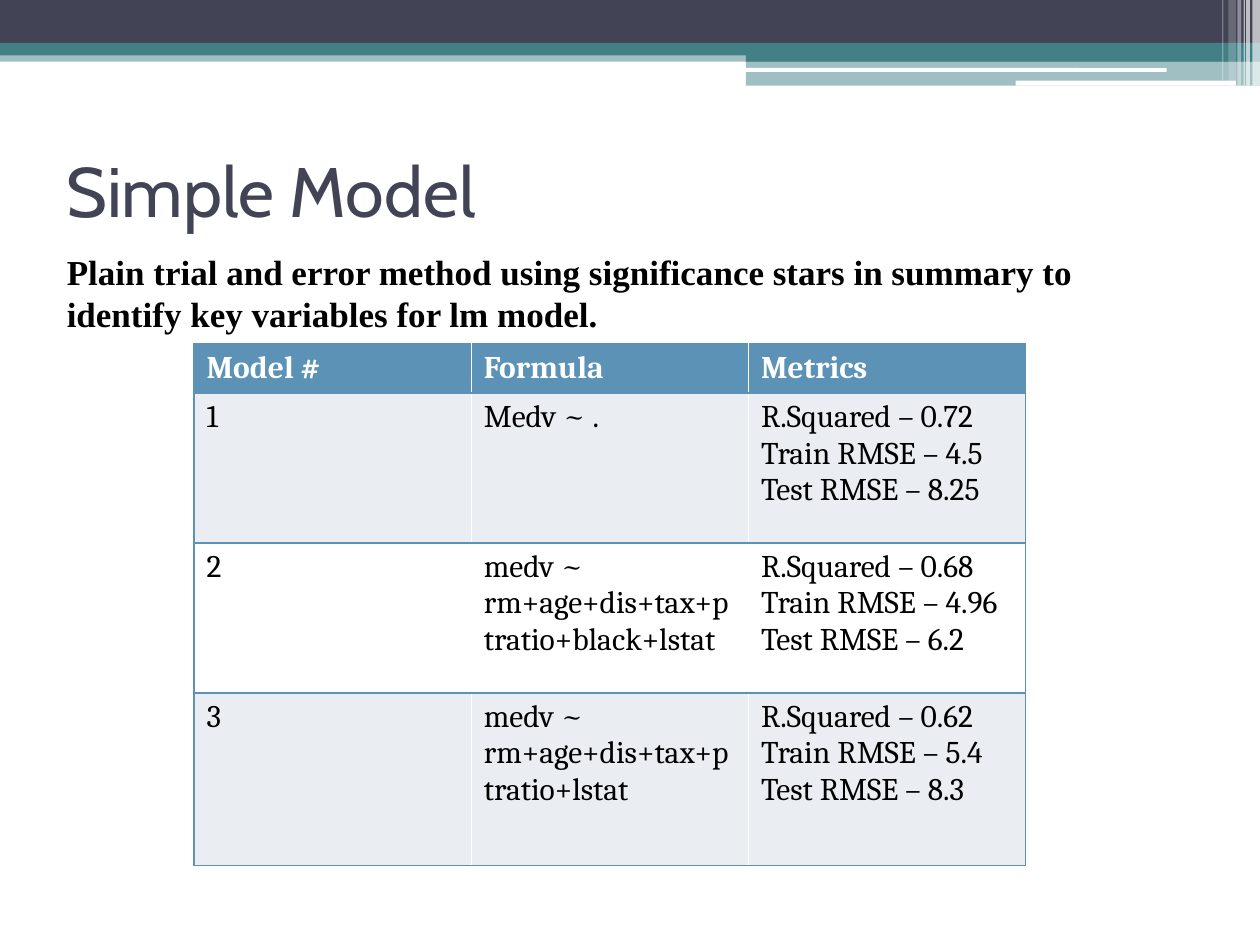
import dataclasses

import lxml.etree
import pptx
import pptx.dml.color
import pptx.enum.shapes
import pptx.enum.text
import pptx.oxml.ns
import pptx.util

Inches = pptx.util.Inches
qn = pptx.oxml.ns.qn

NAVY = "424456"
TEAL = "438086"
BLUE = "5C92B5"
PALE = "EAEEF3"
WHITE = "FFFFFF"
BLACK = "000000"


@dataclasses.dataclass(frozen=True)
class Band:
    left: float
    top: float
    width: float
    height: float
    color: str
    opacity: int = 100
    rounded: bool = False


@dataclasses.dataclass(frozen=True)
class Model:
    number: int
    formula: str
    r_squared: str
    train_rmse: str
    test_rmse: str

    def cells(self) -> list[str]:
        metrics = (f"R.Squared – {self.r_squared}\nTrain RMSE – {self.train_rmse}\n"
                   f"Test RMSE – {self.test_rmse}")
        return [str(self.number), self.formula, metrics]


BANDS = [
    Band(0, 0.4, 10, 0.09, TEAL, 50),
    Band(0, 0, 10, 0.34, NAVY),
    Band(0, 0.34, 10, 0.1, TEAL),
    Band(5.92, 0.39, 4.08, 0.1, TEAL),
    Band(5.92, 0.48, 4.08, 0.2, TEAL, 50),
    Band(5.91, 0.54, 3.35, 0.03, WHITE, rounded=True),
    Band(8.06, 0.64, 1.75, 0.04, WHITE, rounded=True),
    Band(9.94, 0, 0.06, 0.68, WHITE, 65),
    Band(9.89, 0, 0.03, 0.68, WHITE, 65),
    Band(9.87, 0, 0.01, 0.68, WHITE, 60),
    Band(9.82, 0, 0.03, 0.68, WHITE, 40),
    Band(9.75, 0, 0.06, 0.64, WHITE, 20),
    Band(9.7, 0, 0.01, 0.64, WHITE, 30),
]

HEADINGS = ["Model #", "Formula", "Metrics"]
MODELS = [
    Model(1, "Medv ~ .", "0.72", "4.5", "8.25"),
    Model(2, "medv ~ rm+age+dis+tax+ptratio+black+lstat", "0.68", "4.96", "6.2"),
    Model(3, "medv ~ rm+age+dis+tax+ptratio+lstat", "0.62", "5.4", "8.3"),
]
COLUMN_WIDTH = 2.2
ROW_HEIGHTS = [0.37, 1.19, 1.19, 1.37]


def rgb(color: str) -> pptx.dml.color.RGBColor:
    return pptx.dml.color.RGBColor.from_string(color)


def format_text(text_frame, font: str, size: int, color: str, bold: bool = False) -> None:
    for paragraph in text_frame.paragraphs:
        for run in paragraph.runs:
            run.font.name = font
            run.font.size = pptx.util.Pt(size)
            run.font.color.rgb = rgb(color)
            run.font.bold = bold


def draw_band(slide, band: Band) -> None:
    kinds = pptx.enum.shapes.MSO_SHAPE
    shape = slide.shapes.add_shape(
        kinds.ROUNDED_RECTANGLE if band.rounded else kinds.RECTANGLE,
        Inches(band.left), Inches(band.top), Inches(band.width), Inches(band.height))
    shape.shadow.inherit = False
    shape.line.fill.background()
    shape.fill.solid()
    shape.fill.fore_color.rgb = rgb(band.color)
    if band.opacity < 100:
        color = shape.fill._xPr.find(qn("a:solidFill"))[0]
        lxml.etree.SubElement(color, qn("a:alpha"), val=str(band.opacity * 1000))


def fill_placeholder(placeholder, text: str, top: float, height: float) -> None:
    placeholder.left, placeholder.top = Inches(0.43), Inches(top)
    placeholder.width, placeholder.height = Inches(9), Inches(height)
    text_frame = placeholder.text_frame
    text_frame.text = text
    text_frame.auto_size = pptx.enum.text.MSO_AUTO_SIZE.NONE
    text_frame.paragraphs[0].alignment = pptx.enum.text.PP_ALIGN.LEFT


def draw_borders(cell, sides: str) -> None:
    properties = cell._tc.get_or_add_tcPr()
    for position, side in enumerate(sides):
        line = lxml.etree.Element(qn(f"a:ln{side}"), w=str(pptx.util.Pt(1)))
        fill = lxml.etree.SubElement(line, qn("a:solidFill"))
        lxml.etree.SubElement(fill, qn("a:srgbClr"), val=BLUE)
        properties.insert(position, line)


def draw_table(slide, models: list[Model]) -> None:
    rows = [HEADINGS] + [model.cells() for model in models]
    table = slide.shapes.add_table(
        len(rows), len(HEADINGS), Inches(1.54), Inches(2.73),
        Inches(COLUMN_WIDTH * len(HEADINGS)), Inches(sum(ROW_HEIGHTS))).table
    for column in table.columns:
        column.width = Inches(COLUMN_WIDTH)
    side_borders = ["LTB", "TB", "RTB"]
    for row_index, texts in enumerate(rows):
        table.rows[row_index].height = Inches(ROW_HEIGHTS[row_index])
        header = row_index == 0
        background = BLUE if header else PALE if row_index % 2 else WHITE
        for column_index, text in enumerate(texts):
            cell = table.cell(row_index, column_index)
            cell.text_frame.text = text
            format_text(cell.text_frame, "Cambria", 18, WHITE if header else BLACK, header)
            cell.fill.solid()
            cell.fill.fore_color.rgb = rgb(background)
            draw_borders(cell, side_borders[column_index])


def main() -> None:
    presentation = pptx.Presentation()
    presentation.slide_width, presentation.slide_height = Inches(10), Inches(7.5)
    slide = presentation.slides.add_slide(presentation.slide_layouts[1])
    for band in BANDS:
        draw_band(slide, band)

    title, body = slide.shapes.title, slide.placeholders[1]
    fill_placeholder(title, "Simple Model", 0.92, 1.17)
    title.text_frame.vertical_anchor = pptx.enum.text.MSO_ANCHOR.MIDDLE
    format_text(title.text_frame, "Cabin", 40, NAVY)

    fill_placeholder(
        body, "Plain trial and error method using significance stars in summary "
        "to identify key variables for lm model.", 1.94, 4.73)
    format_text(body.text_frame, "Times New Roman", 20, BLACK, bold=True)
    paragraph = body.text_frame.paragraphs[0]
    paragraph.space_before = pptx.util.Pt(3)
    properties = paragraph._p.get_or_add_pPr()
    properties.set("marL", "0")
    properties.set("indent", "0")
    lxml.etree.SubElement(properties, qn("a:buNone"))

    draw_table(slide, MODELS)
    presentation.save("out.pptx")


if __name__ == "__main__":
    main()
